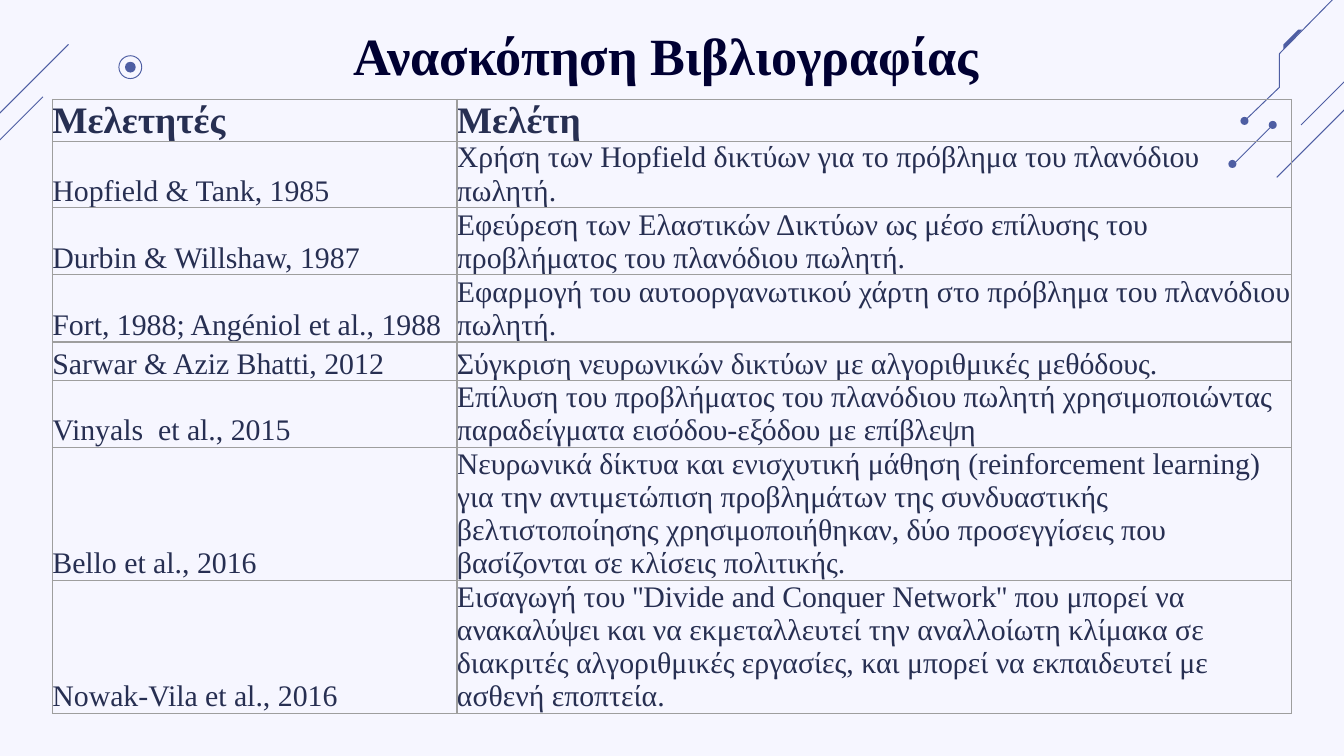
from dataclasses import dataclass

from lxml import etree
from pptx import Presentation
from pptx.dml.color import RGBColor
from pptx.enum import shapes, text
from pptx.oxml import ns
from pptx.util import Inches, Pt


@dataclass(frozen=True)
class Theme:
    font: str = "Times New Roman"
    background: str = "F6F6FF"
    title: str = "000032"
    body: str = "272F52"
    accent: str = "4E5EA3"
    border: str = "9E9E9E"
    title_size: float = 28
    header_size: float = 20
    body_size: float = 16
    accent_width: float = 0.5
    border_width: float = 0.75


THEME = Theme()

HEADER = ("Μελετητές", "Μελέτη")
STUDIES = [
    ("Hopfield & Tank, 1985",
     "Χρήση των Hopfield δικτύων για το πρόβλημα του πλανόδιου πωλητή."),
    ("Durbin & Willshaw, 1987",
     "Εφεύρεση των Ελαστικών Δικτύων ως μέσο επίλυσης του προβλήματος του πλανόδιου πωλητή."),
    ("Fort, 1988; Angéniol et al., 1988",
     "Εφαρμογή του αυτοοργανωτικού χάρτη στο πρόβλημα του πλανόδιου πωλητή."),
    ("Sarwar & Aziz Bhatti, 2012",
     "Σύγκριση νευρωνικών δικτύων με αλγοριθμικές μεθόδους."),
    ("Vinyals  et al., 2015",
     "Επίλυση του προβλήματος του πλανόδιου πωλητή χρησιμοποιώντας "
     "παραδείγματα εισόδου-εξόδου με επίβλεψη"),
    ("Bello et al., 2016",
     "Νευρωνικά δίκτυα και ενισχυτική μάθηση (reinforcement learning) για την "
     "αντιμετώπιση προβλημάτων της συνδυαστικής βελτιστοποίησης χρησιμοποιήθηκαν, "
     "δύο προσεγγίσεις που βασίζονται σε κλίσεις πολιτικής."),
    ("Nowak-Vila et al., 2016",
     "Εισαγωγή του ''Divide and Conquer Network'' που μπορεί να ανακαλύψει και να "
     "εκμεταλλευτεί την αναλλοίωτη κλίμακα σε διακριτές αλγοριθμικές εργασίες, "
     "και μπορεί να εκπαιδευτεί με ασθενή εποπτεία."),
]
COLUMN_WIDTHS = (3.01, 6.21)
ROW_HEIGHTS = (0.31, 0.49, 0.5, 0.5, 0.29, 0.49, 0.99, 0.99)

# Diagonals run up to the right: left, top, side
DIAGONALS = [(9.68, 0.33, 0.6), (9.5, 0.72, 0.6), (9.17, 0.93, 0.3),
             (-0.09, 0.33, 0.6), (-0.28, 0.72, 0.6)]
# Dots: centre x, centre y, diameter
DOTS = [(9.47, 0.93, 0.06), (9.17, 1.22, 0.06), (9.26, 0.9, 0.06), (0.97, 0.5, 0.08)]
CIRCUIT = [(9.26, 0.9), (9.52, 0.65), (9.52, 0.4), (10.08, -0.17)]
WEDGE = [(9.55, 0.37), (9.69, 0.22), (9.66, 0.22), (9.55, 0.33)]


def color(value):
    return RGBColor.from_string(value)


def write(frame, content, size, ink, bold=False, align=text.PP_ALIGN.LEFT):
    para = frame.paragraphs[0]
    para.alignment = align
    span = para.add_run()
    span.text = content
    span.font.name = THEME.font
    span.font.size = Pt(size)
    span.font.bold = bold
    span.font.color.rgb = color(ink)


def style(shape, filled=True, outlined=False):
    shape.shadow.inherit = False
    if filled:
        shape.fill.solid()
        shape.fill.fore_color.rgb = color(THEME.accent)
    else:
        shape.fill.background()
    if outlined:
        shape.line.color.rgb = color(THEME.accent)
        shape.line.width = Pt(THEME.accent_width)
    else:
        shape.line.fill.background()


def add_diagonal(page, left, top, side):
    line = page.shapes.add_connector(
        shapes.MSO_CONNECTOR.STRAIGHT, Inches(left), Inches(top + side),
        Inches(left + side), Inches(top))
    line.line.color.rgb = color(THEME.accent)
    line.line.width = Pt(THEME.accent_width)
    etree.SubElement(line._element.spPr, ns.qn("a:effectLst"))


def add_circle(page, x, y, diameter, **look):
    circle = page.shapes.add_shape(
        shapes.MSO_SHAPE.OVAL, Inches(x - diameter / 2), Inches(y - diameter / 2),
        Inches(diameter), Inches(diameter))
    style(circle, **look)


def add_outline(page, points, close, **look):
    corners = [(Inches(x), Inches(y)) for x, y in points]
    builder = page.shapes.build_freeform(*corners[0])
    builder.add_line_segments(corners[1:], close=close)
    style(builder.convert_to_shape(), **look)


def set_borders(cell):
    props = cell._tc.get_or_add_tcPr()
    for position, side in enumerate(("lnL", "lnR", "lnT", "lnB")):
        line = etree.Element(ns.qn(f"a:{side}"), w=str(Pt(THEME.border_width)))
        fill = etree.SubElement(line, ns.qn("a:solidFill"))
        etree.SubElement(fill, ns.qn("a:srgbClr"), val=THEME.border)
        props.insert(position, line)


def add_title(page, content):
    title = page.shapes.title
    title.left, title.top = Inches(0.86), Inches(0.17)
    title.width, title.height = Inches(8.29), Inches(0.57)
    frame = title.text_frame
    frame.auto_size = text.MSO_AUTO_SIZE.NONE
    frame.vertical_anchor = text.MSO_ANCHOR.TOP
    frame.margin_top = frame.margin_bottom = 0
    write(frame, content, THEME.title_size, THEME.title, bold=True,
          align=text.PP_ALIGN.CENTER)


def add_study_table(page):
    rows = [HEADER, *STUDIES]
    table = page.shapes.add_table(
        len(rows), len(HEADER), Inches(0.39), Inches(0.74),
        Inches(sum(COLUMN_WIDTHS)), Inches(sum(ROW_HEIGHTS))).table
    table.first_row = table.horz_banding = False
    for column, width in zip(table.columns, COLUMN_WIDTHS):
        column.width = Inches(width)
    for index, (row, height, entries) in enumerate(zip(table.rows, ROW_HEIGHTS, rows)):
        row.height = Inches(height)
        is_header = index == 0
        size = THEME.header_size if is_header else THEME.body_size
        for cell, entry in zip(row.cells, entries):
            cell.fill.background()
            cell.margin_left = cell.margin_right = 0
            cell.margin_top = cell.margin_bottom = 0
            cell.vertical_anchor = text.MSO_ANCHOR.BOTTOM
            write(cell.text_frame, entry, size, THEME.body, bold=is_header)
            set_borders(cell)


def add_decoration(page):
    for diagonal in DIAGONALS:
        add_diagonal(page, *diagonal)
    add_outline(page, CIRCUIT, close=False, filled=False, outlined=True)
    add_outline(page, WEDGE, close=True)
    for dot in DOTS:
        add_circle(page, *dot)
    add_circle(page, 0.97, 0.5, 0.17, filled=False, outlined=True)


def main():
    deck = Presentation()
    # A 16:9 page
    deck.slide_width = Inches(10)
    deck.slide_height = deck.slide_width * 9 // 16
    page = deck.slides.add_slide(deck.slide_layouts.get_by_name("Title Only"))
    page.background.fill.solid()
    page.background.fill.fore_color.rgb = color(THEME.background)

    # Circuit lines lie behind the table
    add_decoration(page)
    add_title(page, "Ανασκόπηση Βιβλιογραφίας ")
    add_study_table(page)
    deck.save("out.pptx")


if __name__ == "__main__":
    main()
